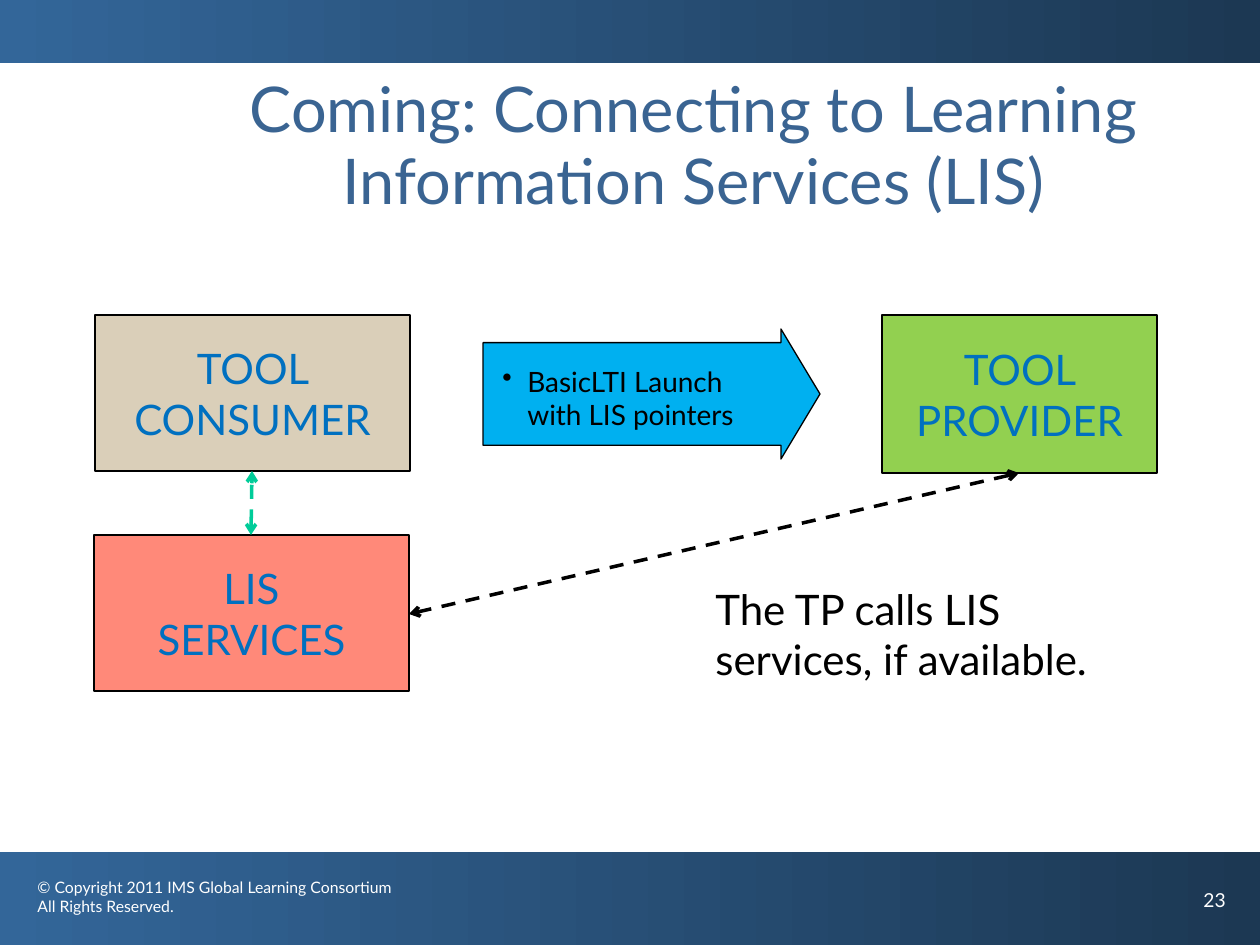
from dataclasses import dataclass

import pptx
import pptx.dml.color
import pptx.enum.dml
import pptx.enum.shapes
import pptx.enum.text
import pptx.oxml
import pptx.oxml.ns
import pptx.util

RGB = pptx.dml.color.RGBColor
SHAPE = pptx.enum.shapes.MSO_SHAPE
ALIGN = pptx.enum.text.PP_ALIGN
ANCHOR = pptx.enum.text.MSO_ANCHOR

PX_PER_INCH = 126
FONT = "Lato"
BLACK = RGB(0x00, 0x00, 0x00)
WHITE = RGB(0xFF, 0xFF, 0xFF)
NAVY = RGB(0x1C, 0x38, 0x53)
STEEL = RGB(0x33, 0x66, 0x99)
TITLE_BLUE = RGB(0x3A, 0x64, 0x92)
LABEL_BLUE = RGB(0x00, 0x70, 0xC0)
SAND = RGB(0xDA, 0xCF, 0xB9)
GREEN = RGB(0x92, 0xD0, 0x50)
CORAL = RGB(0xFF, 0x89, 0x79)
SKY = RGB(0x00, 0xB0, 0xF0)
TEAL = RGB(0x00, 0xCC, 0x99)


@dataclass(frozen=True)
class Box:
    x: int
    y: int
    w: int
    h: int


@dataclass(frozen=True)
class Node:
    text: str
    box: Box
    fill: RGB


@dataclass(frozen=True)
class Note:
    text: str
    box: Box
    size: int
    color: RGB


@dataclass(frozen=True)
class Link:
    x1: int
    y1: int
    x2: int
    y2: int
    color: RGB


BANDS = [Box(0, 852, 1260, 93), Box(0, 0, 1260, 63)]
NODES = [
    Node("TOOL PROVIDER", Box(882, 315, 275, 158), GREEN),
    Node("TOOL CONSUMER", Box(95, 315, 315, 156), SAND),
    Node("LIS\nSERVICES", Box(94, 535, 315, 156), CORAL),
]
LINKS = [Link(1019, 473, 409, 614, BLACK), Link(251, 535, 252, 471, TEAL)]
NOTES = [
    Note("© Copyright 2011 IMS Global Learning Consortium\nAll Rights Reserved.",
         Box(25, 872, 394, 63), 9, WHITE),
    Note("23", Box(1191, 882, 69, 63), 11, WHITE),
    Note("The TP calls LIS\nservices, if available.", Box(703, 577, 494, 113), 24, BLACK),
]
LAUNCH = Note("BasicLTI Launch with LIS pointers", Box(490, 358, 280, 113), 16, BLACK)


def px(n: int) -> int:
    return round(n * 914400 / PX_PER_INCH)


def place(box: Box) -> tuple:
    return px(box.x), px(box.y), px(box.w), px(box.h)


def set_all(obj, values: dict) -> None:
    for name, value in values.items():
        setattr(obj, name, value)


def write(sp, text: str, size: int, color: RGB, frame: dict, para: dict) -> None:
    tf = sp.text_frame
    tf.text = text
    set_all(tf, {"word_wrap": True, **frame})
    for p in tf.paragraphs:
        set_all(p, para)
        for r in p.runs:
            set_all(r.font, {"name": FONT, "size": pptx.util.Pt(size)})
            r.font.color.rgb = color


def add_band(s, box: Box) -> None:
    sp = s.shapes.add_shape(SHAPE.RECTANGLE, *place(box))
    sp.shadow.inherit = False
    sp.line.fill.background()
    sp.fill.gradient()
    sp.fill.gradient_angle = 180
    for stop, color in zip(sp.fill.gradient_stops, (NAVY, STEEL)):
        stop.color.rgb = color


def add_outlined(s, kind, box: Box, fill: RGB):
    sp = s.shapes.add_shape(kind, *place(box))
    sp.shadow.inherit = False
    sp.fill.solid()
    sp.fill.fore_color.rgb = fill
    sp.line.color.rgb = BLACK
    sp.line.width = pptx.util.Pt(0.75)
    return sp


def add_node(s, node: Node) -> None:
    sp = add_outlined(s, SHAPE.RECTANGLE, node.box, node.fill)
    write(sp, node.text, 24, LABEL_BLUE,
          {"vertical_anchor": ANCHOR.MIDDLE}, {"alignment": ALIGN.CENTER})


def add_note(s, note: Note):
    sp = s.shapes.add_textbox(*place(note.box))
    write(sp, note.text, note.size, note.color, {}, {})
    return sp


def add_bullet(p, indent: int) -> None:
    pPr = p._p.get_or_add_pPr()
    pPr.set("marL", str(px(indent)))
    pPr.set("indent", str(-px(indent)))
    bu = pptx.oxml.parse_xml(f'<a:buChar {pptx.oxml.ns.nsdecls("a")} char="•"/>')
    pPr.append(bu)


def add_link(s, link: Link) -> None:
    cx = s.shapes.add_connector(pptx.enum.shapes.MSO_CONNECTOR.STRAIGHT,
                                px(link.x1), px(link.y1), px(link.x2), px(link.y2))
    cx.line.color.rgb = link.color
    set_all(cx.line, {"width": pptx.util.Pt(2),
                      "dash_style": pptx.enum.dml.MSO_LINE.DASH})
    ns = pptx.oxml.ns.nsdecls("a")
    ln = cx.line._get_or_add_ln()
    for end in ("headEnd", "tailEnd"):
        ln.append(pptx.oxml.parse_xml(f'<a:{end} {ns} type="arrow"/>'))
    cx._element.spPr.append(pptx.oxml.parse_xml(f"<a:effectLst {ns}/>"))


def main() -> None:
    prs = pptx.Presentation()
    set_all(prs, {"slide_width": px(1260), "slide_height": px(945)})
    s = prs.slides.add_slide(prs.slide_layouts.get_by_name("Title Only"))

    # Header and footer bands
    for band in BANDS:
        add_band(s, band)

    # Title
    title = s.shapes.title
    title.left, title.top, title.width, title.height = place(Box(158, 69, 1071, 158))
    write(title, "Coming: Connecting to Learning Information Services (LIS)", 36, TITLE_BLUE,
          {"vertical_anchor": ANCHOR.TOP, "auto_size": pptx.enum.text.MSO_AUTO_SIZE.NONE},
          {"alignment": ALIGN.CENTER, "line_spacing": 0.95})

    # Systems
    for node in NODES:
        add_node(s, node)

    # Launch arrow with its bulleted label
    arrow = add_outlined(s, SHAPE.RIGHT_ARROW, Box(483, 329, 337, 130), SKY)
    arrow.adjustments[0], arrow.adjustments[1] = 0.79, 0.3
    add_bullet(add_note(s, LAUNCH).text_frame.paragraphs[0], 25)

    # Two-way links
    for link in LINKS:
        add_link(s, link)

    # Copyright, page number and comment
    for note in NOTES:
        add_note(s, note)

    prs.save("out.pptx")


if __name__ == "__main__":
    main()
